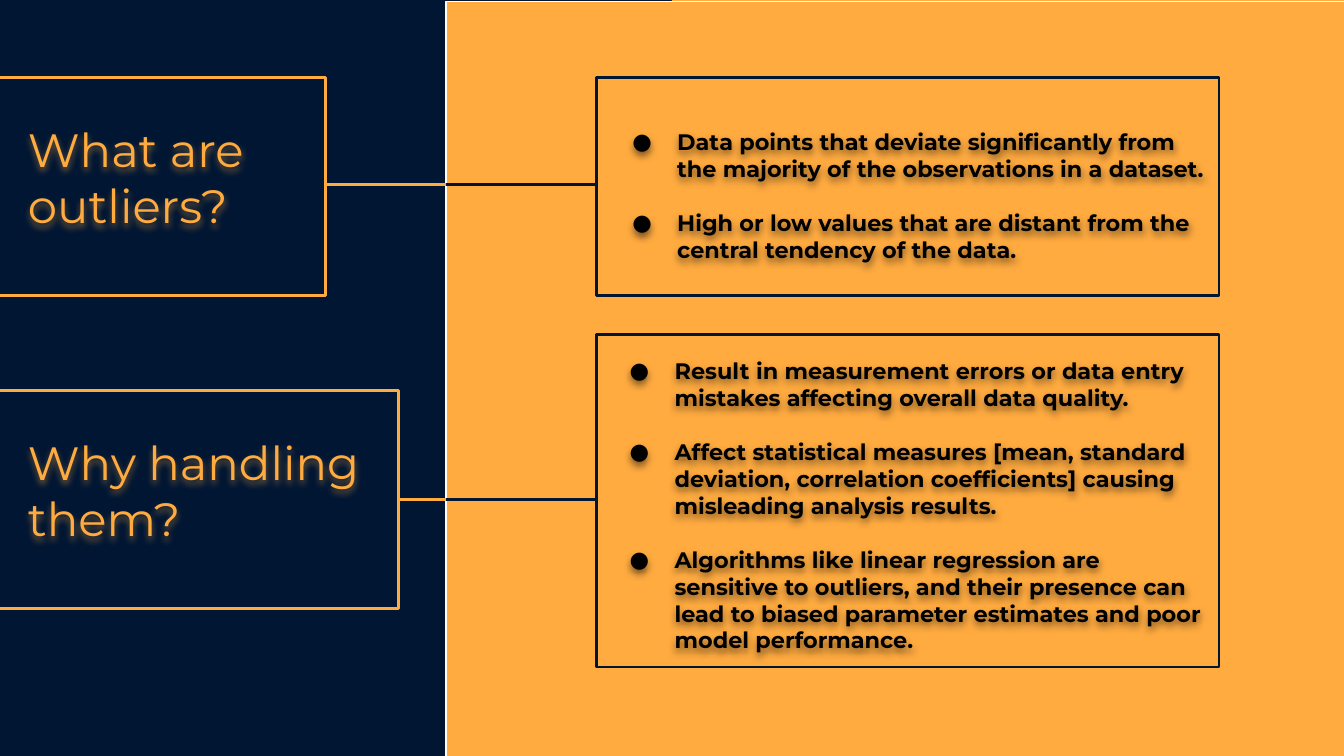
from lxml import etree
from pptx import Presentation
from pptx.dml.color import RGBColor
from pptx.enum.shapes import MSO_CONNECTOR as Connector, MSO_SHAPE as Shape
from pptx.oxml.ns import qn
from pptx.util import Cm, Pt

COLORS = {"navy": "001633", "orange": "FFAB40", "white": "FFFFFF", "black": "000000"}
FONT = "Montserrat"
WIDTH, HEIGHT = 25.4, 14.29
PANEL_LEFT = 8.43
QUESTION_LEFT, QUESTION_HEIGHT = -0.15, 4.11
ANSWER_LEFT, ANSWER_WIDTH = 11.28, 11.76

SECTIONS = [
    {
        "question": "What are outliers?",
        "question_top": 1.47, "question_right": 6.15, "text_width": 6.5,
        "answer_top": 1.47, "answer_height": 4.11,
        "text_left": 11.28, "text_top": 2.18, "link_y": 3.48,
        "answers": [
            "Data points that deviate significantly from the majority of the observations in a dataset.",
            "High or low values that are distant from the central tendency of the data.",
        ],
    },
    {
        "question": "Why handling them?",
        "question_top": 7.39, "question_right": 7.54, "text_width": 7.47,
        "answer_top": 6.32, "answer_height": 6.29,
        "text_left": 11.23, "text_top": 6.5, "link_y": 9.45,
        "answers": [
            "Result in measurement errors or data entry mistakes affecting overall data quality.",
            "Affect statistical measures [mean, standard deviation, correlation coefficients] causing misleading analysis results.",
            "Algorithms like linear regression are sensitive to outliers, and their presence can lead to biased parameter estimates and poor model performance.",
        ],
    },
]


def rgb(name):
    return RGBColor.from_string(COLORS[name])


def add_child(parent, tag, **attributes):
    return etree.SubElement(parent, qn(tag), attributes)


def add_box(slide, left, top, width, height, fill=None, line=None, weight=1.5):
    shape = slide.shapes.add_shape(Shape.RECTANGLE, Cm(left), Cm(top), Cm(width), Cm(height))
    shape.shadow.inherit = False
    if fill:
        shape.fill.solid()
        shape.fill.fore_color.rgb = rgb(fill)
    else:
        shape.fill.background()
    if line:
        shape.line.color.rgb = rgb(line)
        shape.line.width = Pt(weight)
    else:
        shape.line.fill.background()


def add_link(slide, start, end, y, color):
    link = slide.shapes.add_connector(Connector.STRAIGHT, Cm(start), Cm(y), Cm(end), Cm(y))
    link.line.color.rgb = rgb(color)
    link.line.width = Pt(1.5)
    add_child(link._element.spPr, "a:effectLst")


def add_text(slide, left, top, width, height, lines, size, color, bold=False, bullets=False):
    box = slide.shapes.add_textbox(Cm(left), Cm(top), Cm(width), Cm(height))
    frame = box.text_frame
    frame.word_wrap = True
    frame.margin_left = frame.margin_right = frame.margin_top = frame.margin_bottom = Cm(0.25)
    frame.text = "\n".join(lines)
    for index, paragraph in enumerate(frame.paragraphs):
        if index:
            paragraph.space_before = Pt(14.6)
        if bullets:
            properties = paragraph._p.get_or_add_pPr()
            properties.set("marL", str(Cm(1.27)))
            properties.set("indent", str(Cm(-0.85)))
            bullet_color = add_child(properties, "a:buClr")
            add_child(bullet_color, "a:srgbClr", val=COLORS[color])
            add_child(properties, "a:buFont", typeface=FONT)
            add_child(properties, "a:buChar", char="●")
        for run in paragraph.runs:
            run.font.name = FONT
            run.font.size = Pt(size)
            run.font.bold = bold
            run.font.color.rgb = rgb(color)
    effects = add_child(box._element.spPr, "a:effectLst")
    shadow = add_child(effects, "a:outerShdw", blurRad=str(Pt(4)), dist=str(Pt(2)),
                       dir="5400000", algn="bl", rotWithShape="0")
    shadow_color = add_child(shadow, "a:srgbClr", val=COLORS[color])
    add_child(shadow_color, "a:alpha", val="50000")


def add_section(slide, section):
    right, y = section["question_right"], section["link_y"]
    add_box(slide, QUESTION_LEFT, section["question_top"], right - QUESTION_LEFT,
            QUESTION_HEIGHT, line="orange", weight=1.6)
    add_box(slide, ANSWER_LEFT, section["answer_top"], ANSWER_WIDTH,
            section["answer_height"], line="navy")
    add_link(slide, right, PANEL_LEFT, y, "orange")
    add_link(slide, PANEL_LEFT, ANSWER_LEFT, y, "navy")
    add_text(slide, 0.28, section["question_top"] + 0.56, section["text_width"], 2.64,
             [section["question"]], 25, "orange")
    add_text(slide, section["text_left"], section["text_top"], ANSWER_WIDTH, 3.76,
             section["answers"], 12, "black", bold=True, bullets=True)


def main():
    presentation = Presentation()
    presentation.slide_width, presentation.slide_height = Cm(WIDTH), Cm(HEIGHT)
    slide = presentation.slides.add_slide(presentation.slide_layouts[6])
    slide.background.fill.solid()
    slide.background.fill.fore_color.rgb = rgb("navy")
    add_box(slide, WIDTH / 2, 0, WIDTH / 2, HEIGHT, fill="orange")
    add_box(slide, PANEL_LEFT, 0.03, 17.15, HEIGHT, fill="orange", line="white", weight=0.75)
    for section in SECTIONS:
        add_section(slide, section)
    presentation.save("out.pptx")


if __name__ == "__main__":
    main()
